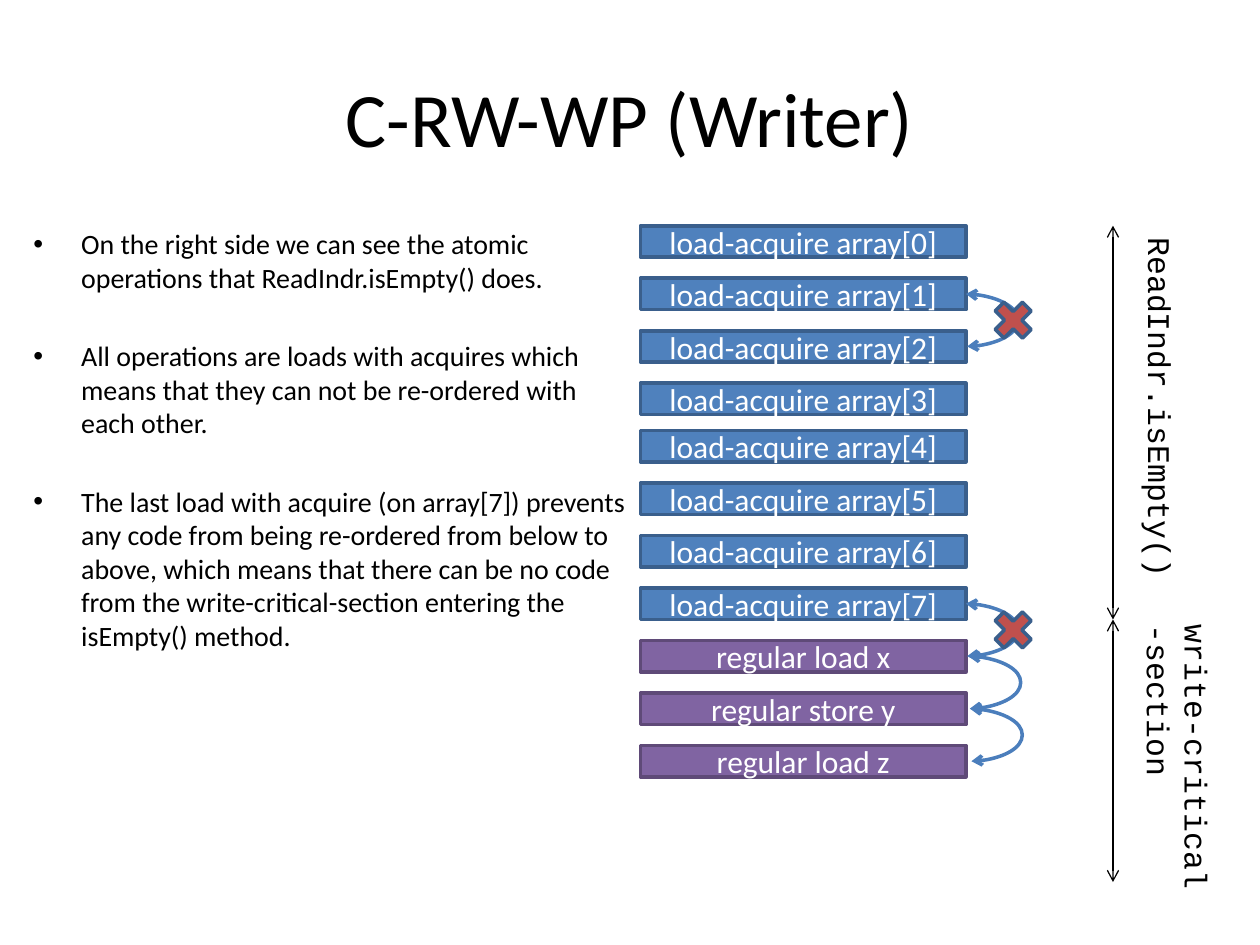
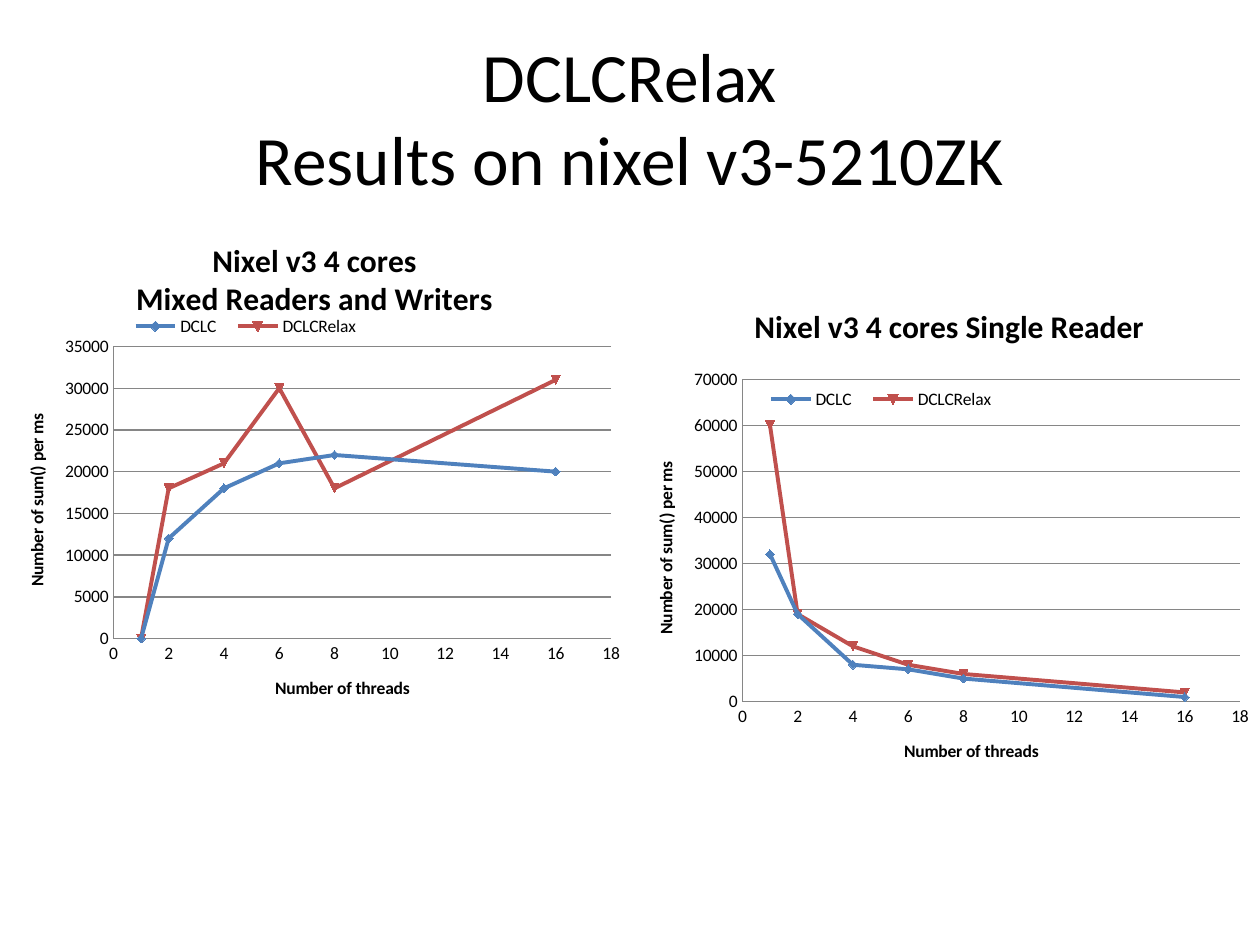
import dataclasses
import typing

import lxml.etree
import pptx
import pptx.chart.data
import pptx.dml.color
import pptx.enum.chart
import pptx.enum.shapes
import pptx.enum.text
import pptx.oxml.ns
import pptx.util

COLUMNS, ROWS = 24, 18
BLACK, WHITE = "000000", "FFFFFF"
BLUE, BLUE_EDGE, ARC_BLUE = "4F81BD", "3A5F8C", "4B7EBC"
PURPLE, PURPLE_EDGE = "8064A2", "5F4A78"
RED, GRAY = "C0504D", "868686"
SANS, MONO = "Calibri", "Courier New"
BOX_LEFT, BOX_WIDTH, BOX_HEIGHT = 12.2, 6.2, 0.6
ARC_BULGE = 42
TIMELINE = 21.2
THREADS = (1, 2, 4, 6, 8, 16)

deck = pptx.Presentation()
deck.slide_width = pptx.util.Inches(10)
deck.slide_height = pptx.util.Inches(7.5)


@dataclasses.dataclass
class Operation:
    text: str
    row: float
    fill: str = BLUE
    edge: str = BLUE_EDGE


@dataclasses.dataclass
class Arc:
    column: float
    row: float
    crossed: bool = False


@dataclasses.dataclass
class Phase:
    text: str
    top: float
    bottom: float
    label: tuple[float, float, float, float]


@dataclasses.dataclass
class Benchmark:
    title: str
    area: tuple[float, float, float, float]
    title_at: tuple[float, ...]
    plot_at: tuple[float, ...]
    legend_at: tuple[float, ...]
    step: int
    peak: int
    results: dict[str, tuple[int, ...]]


def across(columns: float) -> int:
    return round(deck.slide_width * columns / COLUMNS)


def down(rows: float) -> int:
    return round(deck.slide_height * rows / ROWS)


def area(left: float, top: float, width: float, height: float) -> tuple[int, ...]:
    return across(left), down(top), across(width), down(height)


def color(value: str) -> pptx.dml.color.RGBColor:
    return pptx.dml.color.RGBColor.from_string(value)


def format_font(font: typing.Any, size: float, name: str = SANS, tint: str = BLACK, bold: bool = False) -> None:
    font.size, font.name, font.bold = pptx.util.Pt(size), name, bold
    font.color.rgb = color(tint)


def format_line(line: typing.Any, tint: str, width: float) -> None:
    line.color.rgb = color(tint)
    line.width = pptx.util.Pt(width)


def format_frame(frame: typing.Any, size: float, name: str = SANS, tint: str = BLACK) -> None:
    for para in frame.paragraphs:
        for span in para.runs:
            format_font(span.font, size, name, tint)


def add_slide(title: str, size: float) -> typing.Any:
    slide = deck.slides.add_slide(deck.slide_layouts[5])
    shape = slide.shapes.title
    shape.left, shape.top, shape.width, shape.height = area(1.2, 0.72, 21.6, 3)
    frame = shape.text_frame
    frame.text = title
    frame.vertical_anchor = pptx.enum.text.MSO_ANCHOR.MIDDLE
    frame.auto_size = pptx.enum.text.MSO_AUTO_SIZE.NONE
    frame.paragraphs[0].alignment = pptx.enum.text.PP_ALIGN.CENTER
    format_frame(frame, size)
    return slide


def add_shape(slide: typing.Any, kind: typing.Any, place: tuple[int, ...], fill: str, edge: str) -> typing.Any:
    shape = slide.shapes.add_shape(kind, *place)
    shape.shadow.inherit = False
    shape.fill.solid()
    shape.fill.fore_color.rgb = color(fill)
    format_line(shape.line, edge, 2)
    return shape


def add_arrow(slide: typing.Any, kind: typing.Any, start: tuple[float, float], end: tuple[float, float],
              tint: str, width: float) -> typing.Any:
    arrow = slide.shapes.add_connector(
        kind, across(start[0]), down(start[1]), across(end[0]), down(end[1]))
    format_line(arrow.line, tint, width)
    properties = arrow._element.spPr
    outline = properties.find(pptx.oxml.ns.qn("a:ln"))
    for tag in ("a:headEnd", "a:tailEnd"):
        lxml.etree.SubElement(outline, pptx.oxml.ns.qn(tag), type="arrow")
    lxml.etree.SubElement(properties, pptx.oxml.ns.qn("a:effectLst"))
    return arrow


def add_operation(slide: typing.Any, operation: Operation) -> None:
    box = add_shape(slide, pptx.enum.shapes.MSO_SHAPE.RECTANGLE,
                    area(BOX_LEFT, operation.row, BOX_WIDTH, BOX_HEIGHT), operation.fill, operation.edge)
    frame = box.text_frame
    frame.text = operation.text
    frame.vertical_anchor = pptx.enum.text.MSO_ANCHOR.MIDDLE
    frame.paragraphs[0].alignment = pptx.enum.text.PP_ALIGN.CENTER
    format_frame(frame, 18, tint=WHITE)


def add_arc(slide: typing.Any, arc: Arc) -> None:
    start = (arc.column, arc.row + BOX_HEIGHT / 2)
    end = (start[0] + 0.024, start[1] + 1)
    arrow = add_arrow(slide, pptx.enum.shapes.MSO_CONNECTOR.CURVE, start, end, ARC_BLUE, 2)
    geometry = arrow._element.spPr.find(pptx.oxml.ns.qn("a:prstGeom"))
    guides = geometry.find(pptx.oxml.ns.qn("a:avLst"))
    lxml.etree.SubElement(guides, pptx.oxml.ns.qn("a:gd"), name="adj1", fmla=f"val {ARC_BULGE * 100000}")
    if arc.crossed:
        add_shape(slide, pptx.enum.shapes.MSO_SHAPE.MATH_MULTIPLY,
                  area(start[0] + 0.4, start[1], 1, 1), RED, BLUE_EDGE)


def add_phase(slide: typing.Any, phase: Phase) -> None:
    add_arrow(slide, pptx.enum.shapes.MSO_CONNECTOR.STRAIGHT,
              (TIMELINE, phase.top), (TIMELINE, phase.bottom), BLACK, 0.75)
    box = slide.shapes.add_textbox(*area(*phase.label))
    box.rotation = 90
    box.text_frame.word_wrap = True
    box.text_frame.text = phase.text
    format_frame(box.text_frame, 18, MONO)


def add_bullets(slide: typing.Any, texts: typing.Sequence[str]) -> None:
    box = slide.shapes.add_textbox(*area(0.4, 4.2, 11.8, 11.88))
    frame = box.text_frame
    frame.word_wrap = True
    frame.text = "\n".join(texts)
    format_frame(frame, 16)
    indent = pptx.util.Inches(0.38)
    for index, para in enumerate(frame.paragraphs):
        para.space_before = pptx.util.Pt(25.6 if index else 0)
        properties = para._p.get_or_add_pPr()
        properties.set("marL", str(indent))
        properties.set("indent", str(-indent))
        lxml.etree.SubElement(properties, pptx.oxml.ns.qn("a:buFont"), typeface="Arial")
        lxml.etree.SubElement(properties, pptx.oxml.ns.qn("a:buChar"), char="•")


def set_layout(element: typing.Any, index: int, shares: tuple[float, ...], inner: bool = False) -> None:
    for old in element.findall(pptx.oxml.ns.qn("c:layout")):
        element.remove(old)
    layout = lxml.etree.Element(pptx.oxml.ns.qn("c:layout"))
    manual = lxml.etree.SubElement(layout, pptx.oxml.ns.qn("c:manualLayout"))
    settings = [("layoutTarget", "inner")] if inner else []
    settings += [("xMode", "edge"), ("yMode", "edge"), *zip("xywh", shares)]
    for tag, value in settings:
        lxml.etree.SubElement(manual, pptx.oxml.ns.qn(f"c:{tag}"), val=str(value))
    element.insert(index, layout)


def format_axis(axis: typing.Any, title: str, peak: int, step: int, grid: bool) -> None:
    axis.minimum_scale, axis.maximum_scale, axis.major_unit = 0, peak, step
    axis.has_major_gridlines = grid
    axis.major_tick_mark = axis.minor_tick_mark = pptx.enum.chart.XL_TICK_MARK.NONE
    format_line(axis.format.line, GRAY, 0.75)
    if grid:
        format_line(axis.major_gridlines.format.line, GRAY, 0.75)
    axis.tick_labels.number_format = "General"
    axis.tick_labels.number_format_is_linked = False
    axis.axis_title.text_frame.text = title
    format_font(axis.axis_title.text_frame.paragraphs[0].runs[0].font, 10, bold=True)


def add_benchmark(slide: typing.Any, benchmark: Benchmark) -> None:
    data = pptx.chart.data.XyChartData()
    for name, values in benchmark.results.items():
        series = data.add_series(name)
        for threads, value in zip(THREADS, values):
            series.add_data_point(threads, value)
    chart = slide.shapes.add_chart(
        pptx.enum.chart.XL_CHART_TYPE.XY_SCATTER_LINES, *area(*benchmark.area), data).chart
    format_font(chart.font, 10)
    plot = chart.plots[0]
    plot.vary_by_categories = False
    for series, tint in zip(plot.series, (BLUE, RED)):
        format_line(series.format.line, tint, 2.25)
    format_axis(chart.category_axis, "Number of threads", 18, 2, False)
    format_axis(chart.value_axis, "Number of sum() per ms", benchmark.peak, benchmark.step, True)
    chart.has_title = True
    frame = chart.chart_title.text_frame
    frame.text = benchmark.title
    for para in frame.paragraphs:
        format_font(para.runs[0].font, 18, bold=True)
    chart.has_legend = True
    chart.legend.position = pptx.enum.chart.XL_LEGEND_POSITION.RIGHT
    chart.legend.include_in_layout = True
    set_layout(chart.chart_title._element, 1, benchmark.title_at)
    set_layout(chart.legend._element, 1, benchmark.legend_at)
    set_layout(plot._element.getparent(), 0, benchmark.plot_at, inner=True)


load_rows = [4.3 + index for index in range(4)] + [8.2 + index for index in range(4)]
OPERATIONS = [Operation(f"load-acquire array[{index}]", row) for index, row in enumerate(load_rows)]
OPERATIONS += [
    Operation(text, 12.2 + index, PURPLE, PURPLE_EDGE)
    for index, text in enumerate(("regular load x", "regular store y", "regular load z"))
]
ARCS = [Arc(18.4, 5.3, True), Arc(18.4, 11.2, True), Arc(18.45, 12.2), Arc(18.48, 13.2)]
PHASES = [
    Phase("ReadIndr.isEmpty()", 4.3, 11.8, (18.4, 7.5, 7.4, 0.97)),
    Phase("write-critical\n-section", 11.8, 16.8, (18.45, 14.8, 7.97, 1.7)),
]
BULLETS = [
    "On the right side we can see the atomic operations that ReadIndr.isEmpty() does.",
    "All operations are loads with acquires which means that they can not be re-ordered with each other.",
    "The last load with acquire (on array[7]) prevents any code from being re-ordered from below to above, "
    "which means that there can be no code from the write-critical-section entering the isEmpty() method.",
]
BENCHMARKS = [
    Benchmark("Nixel v3 4 cores\nMixed Readers and Writers", (0, 4.2, 12, 9.6),
              (0.21, 0.03), (0.18, 0.25, 0.79, 0.58), (0.19, 0.18, 0.4, 0.06), 5000, 35000,
              {"DCLC": (0, 12000, 18000, 21000, 22000, 20000),
               "DCLCRelax": (0, 18000, 21000, 30000, 18000, 31000)}),
    Benchmark("Nixel v3 4 cores Single Reader", (11.98, 5.4, 12, 9.6),
              (0.19, 0.03), (0.18, 0.19, 0.79, 0.64), (0.2, 0.2, 0.4, 0.06), 10000, 70000,
              {"DCLC": (32000, 19000, 8000, 7000, 5000, 1000),
               "DCLCRelax": (60000, 19000, 12000, 8000, 6000, 2000)}),
]

writer = add_slide("C-RW-WP (Writer)", 44)
add_bullets(writer, BULLETS)
for operation in OPERATIONS:
    add_operation(writer, operation)
for arc in ARCS:
    add_arc(writer, arc)
for phase in PHASES:
    add_phase(writer, phase)

results = add_slide("DCLCRelax\vResults on nixel v3-5210ZK", 39.6)
for benchmark in BENCHMARKS:
    add_benchmark(results, benchmark)

deck.save("out.pptx")
